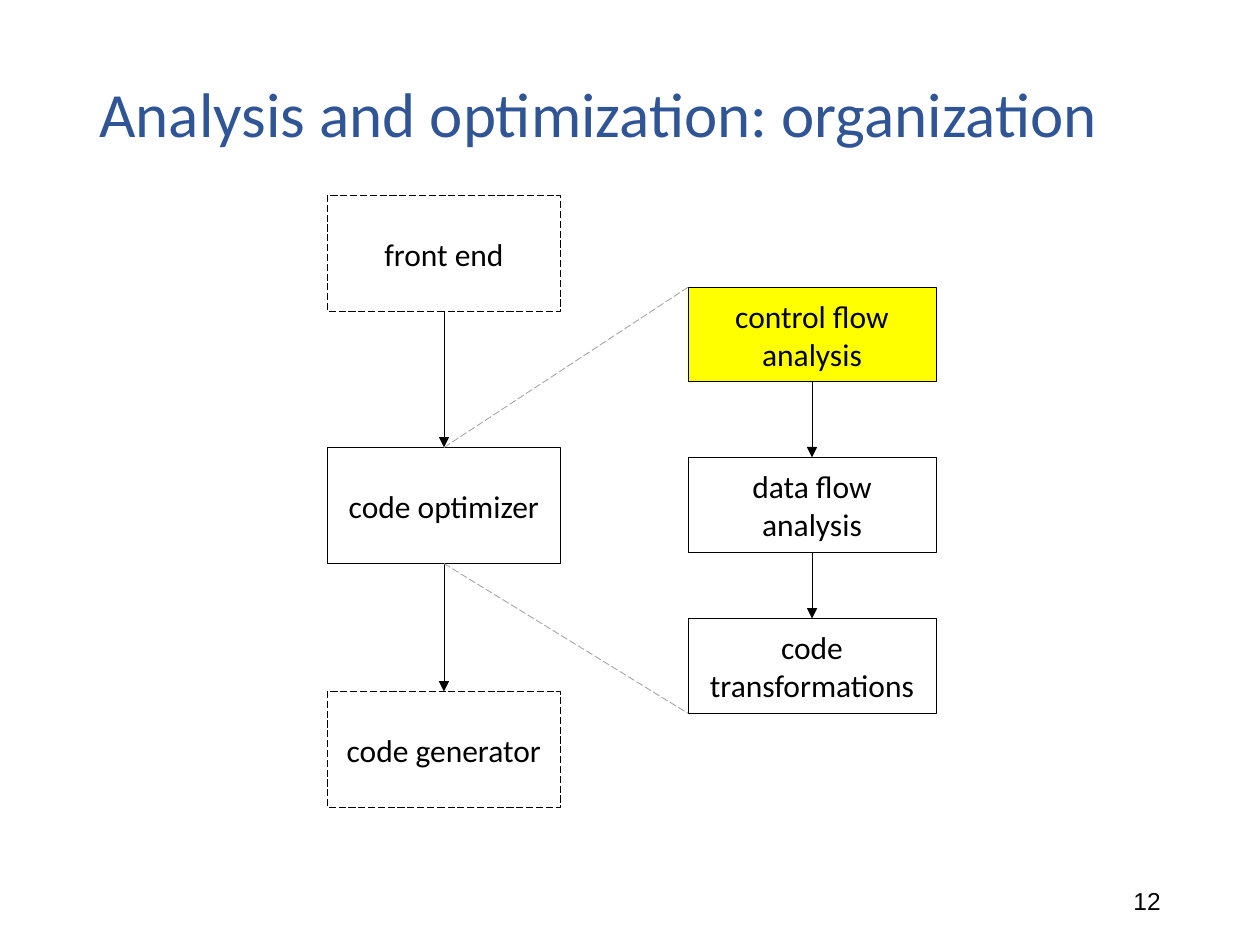
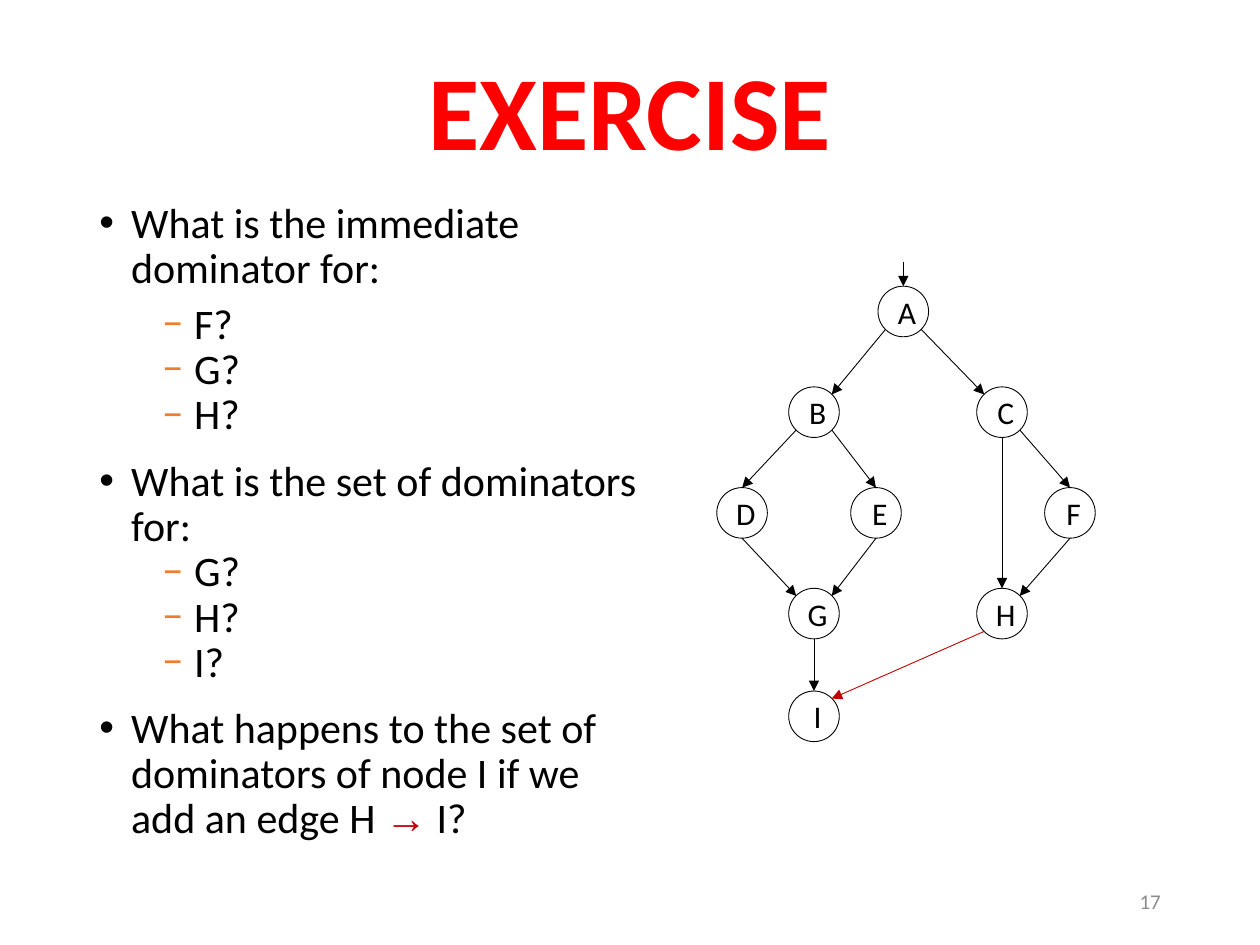
"""Two lecture slides on program analysis: an organization chart and a dominator exercise."""
import pptx
import pptx.util
import pptx.dml.color
import pptx.enum.dml
import pptx.enum.shapes
import pptx.enum.text
import pptx.oxml.ns
import lxml.etree

Cm = pptx.util.Cm
Pt = pptx.util.Pt
ALIGN = pptx.enum.text.PP_ALIGN
MIDDLE = pptx.enum.text.MSO_ANCHOR.MIDDLE
SHAPES = pptx.enum.shapes.MSO_SHAPE
COLORS = {
    "ink": "000000", "title": "2F5597", "alert": "FF0000", "edge": "C00000",
    "highlight": "FFFF00", "zoom": "A6A6A6", "dash": "ED7D31", "number": "8C8C8C",
}
FONT = "Calibri"
TITLE_BOX = (1.75, 1.02, 21.9, 2.67)
NUMBER_BOX = (17.93, 17.65, 5.72, 1.02)
SITES = {"n": (0.5, 0), "s": (0.5, 1), "nw": (0.15, 0.15), "ne": (0.85, 0.15),
         "sw": (0.15, 0.85), "se": (0.85, 0.85)}


def color(name):
    """Return the named colour."""
    return pptx.dml.color.RGBColor.from_string(COLORS[name])


def add_element(parent, tag, **attributes):
    """Append a drawing element to its parent."""
    return lxml.etree.SubElement(parent, pptx.oxml.ns.qn(tag), attributes)


def style_span(span, size, ink="ink", font=FONT, bold=False):
    """Set the type of one run."""
    span.font.size = Pt(size)
    span.font.name = font
    span.font.bold = bold
    span.font.color.rgb = color(ink)


def place(shape, box):
    """Move a shape to a box given in centimetres."""
    shape.left, shape.top, shape.width, shape.height = map(Cm, box)


def style_line(line, ink="ink", dashed=False):
    """Draw a thin outline or connector line."""
    line.width = Pt(0.5)
    line.color.rgb = color(ink)
    if dashed:
        line.dash_style = pptx.enum.dml.MSO_LINE.LONG_DASH


def write_title(page, text, size, ink, align, bold=False):
    """Fill the title placeholder."""
    title = page.shapes.title
    place(title, TITLE_BOX)
    frame = title.text_frame
    frame.text = text
    frame.auto_size = pptx.enum.text.MSO_AUTO_SIZE.NONE
    frame.vertical_anchor = MIDDLE
    para = frame.paragraphs[0]
    para.alignment = align
    para.line_spacing = 0.9
    style_span(para.runs[0], size, ink, bold=bold)


def write_number(page, text, size, ink, font):
    """Write the page number at the lower right."""
    frame = page.shapes.add_textbox(*map(Cm, NUMBER_BOX)).text_frame
    frame.word_wrap = True
    frame.vertical_anchor = MIDDLE
    frame.text = text
    frame.paragraphs[0].alignment = ALIGN.RIGHT
    style_span(frame.paragraphs[0].runs[0], size, ink, font)


def add_node(page, kind, box, text, fill=None, dashed=False):
    """Add an outlined shape with a centred label."""
    node = page.shapes.add_shape(kind, *map(Cm, box))
    node.shadow.inherit = False
    if fill:
        node.fill.solid()
        node.fill.fore_color.rgb = color(fill)
    else:
        node.fill.background()
    style_line(node.line, dashed=dashed)
    frame = node.text_frame
    frame.text = text
    frame.vertical_anchor = MIDDLE
    frame.paragraphs[0].alignment = ALIGN.CENTER
    style_span(frame.paragraphs[0].runs[0], 18)
    return node


def add_link(page, start, end, ink="ink", dashed=False, arrow=True):
    """Draw a straight line between two points."""
    link = page.shapes.add_connector(pptx.enum.shapes.MSO_CONNECTOR.STRAIGHT, *start, *end)
    style_line(link.line, ink, dashed)
    if arrow:
        add_element(link.line._get_or_add_ln(), "a:tailEnd", type="triangle")
    add_element(link._element.spPr, "a:effectLst")
    return link


def site(node, name):
    """Return the point of a node's rim in the named direction."""
    across, down = SITES[name]
    return int(node.left + across * node.width), int(node.top + down * node.height)


def draw_stack(page, box, height, steps):
    """Draw a column of steps joined by downward arrows."""
    left, top, width = box
    nodes = [add_node(page, SHAPES.RECTANGLE, (left, top + offset, width, height), text, fill, dashed)
             for text, offset, fill, dashed in steps]
    for upper, lower in zip(nodes, nodes[1:]):
        link = add_link(page, site(upper, "s"), site(lower, "n"))
        link.begin_connect(upper, 2)
        link.end_connect(lower, 0)
    return nodes


def draw_organization(page):
    """Draw the compiler phases and the detail of the optimizer."""
    phases = draw_stack(page, (6.6, 3.94, 4.7), 2.34, [
        ("front end", 0, None, True),
        ("code optimizer", 5.08, None, False),
        ("code generator", 10, None, True),
    ])
    details = draw_stack(page, (13.87, 5.79, 5), 1.91, [
        ("control flow analysis", 0, "highlight", False),
        ("data flow analysis", 3.43, None, False),
        ("code transformations", 6.68, None, False),
    ])
    optimizer, first, last = phases[1], details[0], details[-1]
    corners = (("n", (first.left, first.top)), ("s", (last.left, last.top + last.height)))
    for name, corner in corners:
        add_link(page, site(optimizer, name), corner, "zoom", dashed=True, arrow=False)


def draw_graph(page, left, top):
    """Draw the flow graph from its upper left corner."""
    size, entry, pitch = 1.02, 0.49, 2.03
    spots = {"A": (3.25, 0), "B": (1.45, 1), "C": (5.24, 1), "D": (0, 2), "E": (2.7, 2),
             "F": (6.61, 2), "G": (1.45, 3), "H": (5.24, 3), "I": (1.45, 4.02)}
    edges = ["A sw B ne", "A se C nw", "B sw D n", "B se E n", "D s G nw", "E s G ne",
             "G s I n", "C se F n", "C s H n", "F s H ne", "H sw I ne"]
    nodes = {}
    for name, (across, row) in spots.items():
        box = (left + across, top + entry + row * pitch, size, size)
        nodes[name] = add_node(page, SHAPES.OVAL, box, name)
        frame = nodes[name].text_frame
        frame.word_wrap = False
        frame.margin_left = Cm(0.15)
        frame.margin_right = frame.margin_top = frame.margin_bottom = 0
    head = site(nodes["A"], "n")
    add_link(page, (head[0], Cm(top)), head)
    for edge in edges:
        source, leave, target, reach = edge.split()
        ink = "edge" if source + target == "HI" else "ink"
        add_link(page, site(nodes[source], leave), site(nodes[target], reach), ink)


def write_list(holder, box, items):
    """Fill a body placeholder with questions and their sub-items."""
    place(holder, box)
    frame = holder.text_frame
    frame.auto_size = pptx.enum.text.MSO_AUTO_SIZE.NONE
    for index, (level, before, after, texts) in enumerate(items):
        para = frame.add_paragraph() if index else frame.paragraphs[0]
        para.level = level
        para.line_spacing = 0.9
        para.space_before, para.space_after = Pt(before), Pt(after)
        for text in texts:
            span = para.add_run()
            span.text = text
            if text == "→":
                style_span(span, 24, "edge", "Times New Roman")
            else:
                style_span(span, 24)
        properties = para._p.get_or_add_pPr()
        properties.set("marL", str(Cm(1.91 if level else 0.64)))
        properties.set("indent", str(Cm(-0.64)))
        bullet_color = add_element(properties, "a:buClr")
        add_element(bullet_color, "a:srgbClr", val=COLORS["dash" if level else "ink"])
        add_element(properties, "a:buFont", typeface=FONT if level else "Arial")
        add_element(properties, "a:buChar", char="−" if level else "•")


def build_organization(deck):
    """Build the slide on how the optimizer is organized."""
    page = deck.slides.add_slide(deck.slide_layouts[5])
    write_title(page, "Analysis and optimization: organization", 36, "title", ALIGN.LEFT)
    draw_organization(page)
    write_number(page, "12", 14, "ink", "Arial")


def build_exercise(deck):
    """Build the exercise slide with its questions and graph."""
    page = deck.slides.add_slide(deck.slide_layouts[3])
    write_title(page, "EXERCISE", 60, "alert", ALIGN.CENTER, bold=True)
    write_list(page.placeholders[1], (1.75, 3.94, 11.4, 13.23), [
        (0, 10, 6, ["What is the immediate dominator for:"]),
        (1, 0, 0, ["F?"]),
        (1, 0, 0, ["G?"]),
        (1, 0, 12, ["H?"]),
        (0, 0, 0, ["What is the set of dominators for:"]),
        (1, 0, 0, ["G?"]),
        (1, 0, 0, ["H?"]),
        (1, 0, 0, ["I?"]),
    ])
    write_list(page.placeholders[2], (1.75, 14.12, 11.4, 4.22), [
        (0, 10, 6, ["What happens to the set of dominators of node I if we add an edge H ", "→", " I?"]),
    ])
    draw_graph(page, 14.45, 5.28)
    write_number(page, "17", 12, "number", FONT)


def main():
    """Build and save the deck."""
    deck = pptx.Presentation()
    deck.slide_width, deck.slide_height = Cm(25.4), Cm(19.05)
    build_organization(deck)
    build_exercise(deck)
    deck.save("out.pptx")


main()
